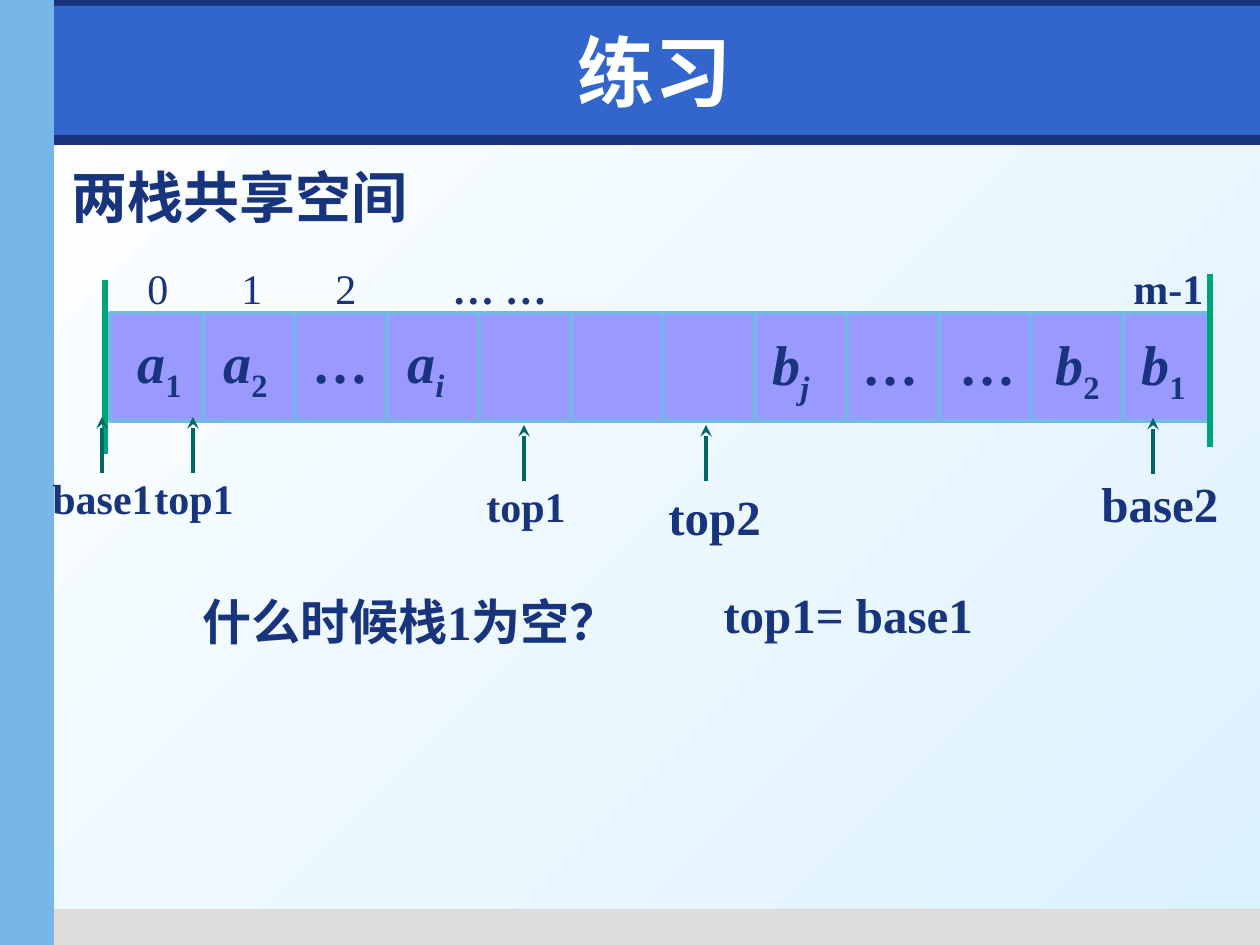
from dataclasses import dataclass

from lxml import etree
from pptx import Presentation
from pptx import util as u
from pptx.dml.color import RGBColor
from pptx.enum import shapes, text
from pptx.oxml import ns

PX = 914400 / 126


@dataclass(frozen=True)
class Theme:
    ink: str = "17347D"
    band: str = "3366CC"
    side: str = "77B7E7"
    footer: str = "DDDDDD"
    pale: str = "DDF2FF"
    white: str = "FFFFFF"
    cell: str = "9999FF"
    end: str = "00A479"
    pointer: str = "006666"
    font: str = "Times New Roman"
    title_font: str = "DejaVu Sans"
    title: int = 44
    large: int = 32
    medium: int = 28
    small: int = 24


THEME = Theme()


@dataclass(frozen=True)
class Box:
    left: int
    top: int
    width: int
    height: int

    def emu(self) -> list[int]:
        return [px(v) for v in (self.left, self.top, self.width, self.height)]


@dataclass(frozen=True)
class Piece:
    words: str
    bold: bool | None = None
    italic: bool | None = None
    subscript: bool = False


@dataclass(frozen=True)
class Pointer:
    x: int
    tip: int
    label: str
    box: Box
    size: int


def px(value: int) -> int:
    return round(value * PX)


def rgb(value: str) -> RGBColor:
    return RGBColor.from_string(value)


def add_block(slide, box: Box, fill: str, outline: str | None = None) -> None:
    block = slide.shapes.add_shape(shapes.MSO_SHAPE.RECTANGLE, *box.emu())
    block.shadow.inherit = False
    block.fill.solid()
    block.fill.fore_color.rgb = rgb(fill)
    if outline:
        block.line.color.rgb = rgb(outline)
        block.line.width = u.Pt(2.25)
    else:
        block.line.fill.background()


def add_vertical(slide, x: int, start: int, end: int, color: str,
                 width: float = 2.25, arrow: bool = False) -> None:
    line = slide.shapes.add_connector(
        shapes.MSO_CONNECTOR.STRAIGHT, px(x), px(start), px(x), px(end))
    line.line.color.rgb = rgb(color)
    line.line.width = u.Pt(width)
    if arrow:
        etree.SubElement(line.line._get_or_add_ln(), ns.qn("a:tailEnd"), type="stealth")
    etree.SubElement(line._element.spPr, ns.qn("a:effectLst"))


def add_text(slide, box: Box, pieces: list[Piece], size: int,
             bold: bool | None = True, tabs: tuple[int, ...] = ()) -> None:
    """Add one line of text; tabs are px from the start of the line."""
    frame = slide.shapes.add_textbox(*box.emu()).text_frame
    frame.word_wrap = True
    frame.auto_size = text.MSO_AUTO_SIZE.SHAPE_TO_FIT_TEXT
    paragraph = frame.paragraphs[0]
    if tabs:
        stops = etree.SubElement(paragraph._p.get_or_add_pPr(), ns.qn("a:tabLst"))
        for stop in tabs:
            etree.SubElement(stops, ns.qn("a:tab"), pos=str(px(stop)), algn="l")
    font = paragraph.font
    font.name, font.size, font.bold = THEME.font, u.Pt(size), bold
    font.color.rgb = rgb(THEME.ink)
    for piece in pieces:
        run = paragraph.add_run()
        run.text = piece.words
        if piece.bold is not None:
            run.font.bold = piece.bold
        if piece.italic is not None:
            run.font.italic = piece.italic
        if piece.subscript:
            run._r.get_or_add_rPr().set("baseline", "-25000")


def element(letter: str, index: str) -> list[Piece]:
    """An italic letter with its subscript; letter subscripts are italic too."""
    return [Piece(letter, italic=True),
            Piece(index, italic=index.isalpha(), subscript=True)]


def add_pointer(slide, pointer: Pointer) -> None:
    add_vertical(slide, pointer.x, pointer.tip + 56, pointer.tip, THEME.pointer, arrow=True)
    add_text(slide, pointer.box, [Piece(pointer.label)], pointer.size)


def add_frame(slide) -> None:
    fill = slide.background.fill
    fill.gradient()
    fill.gradient_angle = 315
    for stop, color in zip(fill.gradient_stops, (THEME.white, THEME.pale)):
        stop.color.rgb = rgb(color)
    for box, color in (
        (Box(5, 135, 1255, 10), THEME.ink),
        (Box(44, 909, 1216, 36), THEME.footer),
        (Box(0, 0, 1260, 26), THEME.ink),
        (Box(54, 6, 1206, 129), THEME.band),
        (Box(0, 0, 54, 945), THEME.side),
    ):
        add_block(slide, box, color)


def add_title(slide, words: str) -> None:
    title = slide.shapes.title
    slide.shapes._spTree.append(title._element)
    title.left, title.top, title.width, title.height = Box(74, 16, 1161, 110).emu()
    frame = title.text_frame
    frame.text = words
    frame.vertical_anchor = text.MSO_ANCHOR.MIDDLE
    paragraph = frame.paragraphs[0]
    paragraph.alignment = text.PP_ALIGN.CENTER
    font = paragraph.font
    font.name, font.size, font.bold = THEME.title_font, u.Pt(THEME.title), True
    font.color.rgb = rgb(THEME.white)


def add_shared_array(slide) -> None:
    add_block(slide, Box(110, 313, 1098, 108), THEME.cell, THEME.side)
    for divider in range(11):
        add_vertical(slide, 203 + 92 * divider, 314, 419, THEME.side)
    add_vertical(slide, 105, 280, 454, THEME.end, 3)
    add_vertical(slide, 1210, 274, 447, THEME.end, 3)

    add_text(slide, Box(135, 256, 1104, 63),
             [Piece("0\t1\t2\t"), Piece("… …\tm-1", bold=True)],
             THEME.small, bold=None, tabs=(94, 188, 305, 986))
    tab = Piece("\t")
    add_text(slide, Box(125, 321, 389, 79),
             [*element("a", "1"), tab, *element("a", "2"), Piece("\t…\t"),
              *element("a", "i")],
             THEME.large, tabs=(86, 175, 270))
    add_text(slide, Box(760, 323, 456, 79),
             [*element("b", "j"), Piece("\t…\t…\t"), *element("b", "2"), tab,
              *element("b", "1")],
             THEME.large, tabs=(90, 187, 283, 369))


def main() -> None:
    deck = Presentation()
    deck.slide_width, deck.slide_height = px(1260), px(945)
    slide = deck.slides.add_slide(deck.slide_layouts[5])
    add_frame(slide)
    add_title(slide, "练习")
    add_text(slide, Box(59, 156, 630, 79), [Piece("两栈共享空间")], THEME.large)
    add_shared_array(slide)
    for pointer in (
        Pointer(102, 417, "base1", Box(40, 466, 166, 63), THEME.small),
        Pointer(193, 417, "top1", Box(142, 466, 132, 63), THEME.small),
        Pointer(524, 425, "top1", Box(474, 474, 132, 63), THEME.small),
        Pointer(706, 425, "top2", Box(656, 480, 130, 72), THEME.medium),
        Pointer(1153, 418, "base2", Box(1089, 467, 171, 72), THEME.medium),
    ):
        add_pointer(slide, pointer)
    add_text(slide, Box(190, 585, 509, 72), [Piece("什么时候栈1为空？")], THEME.medium)
    add_text(slide, Box(711, 578, 341, 72), [Piece("top1= base1")], THEME.medium)
    deck.save("out.pptx")


if __name__ == "__main__":
    main()
